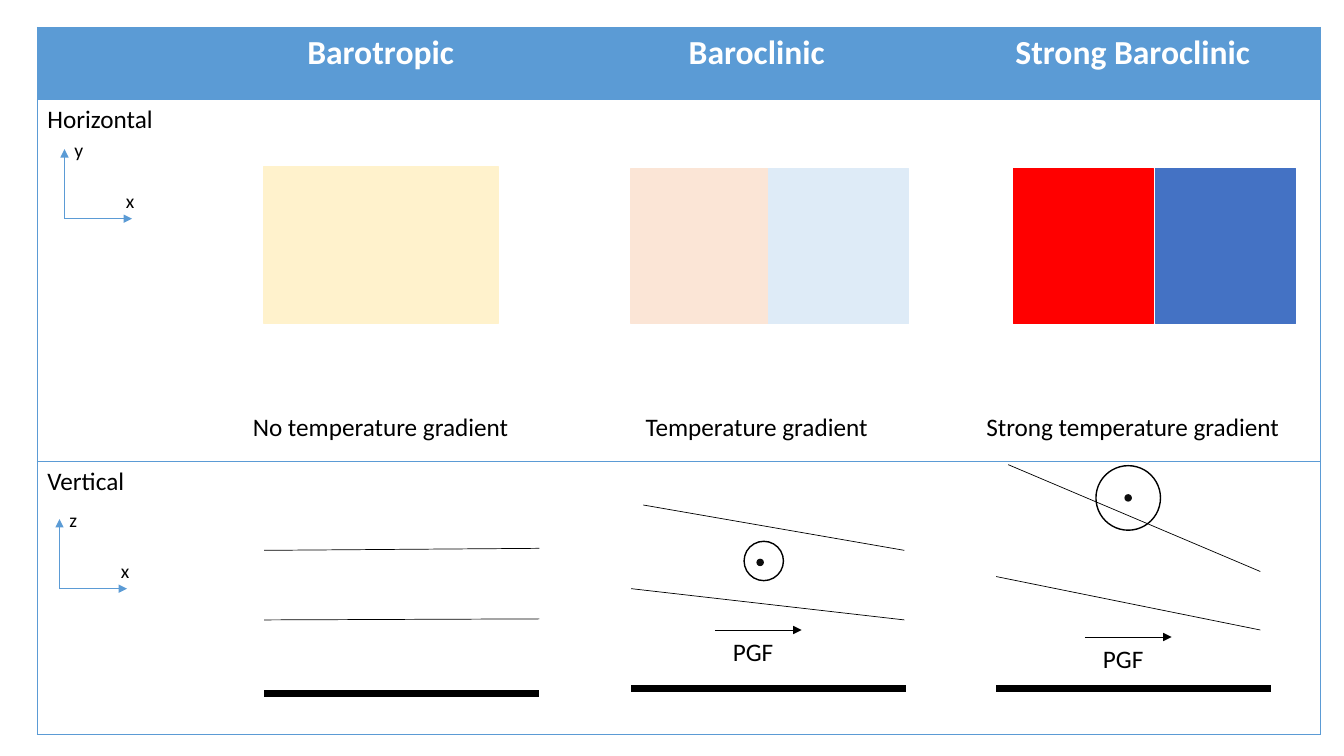
import pptx
import pptx.chart.data
import pptx.dml.color
import pptx.enum.shapes
import pptx.enum.text
import pptx.oxml
import pptx.oxml.ns
import pptx.util

Inches = pptx.util.Inches
Pt = pptx.util.Pt
SHAPES = pptx.enum.shapes.MSO_SHAPE
ANCHOR = pptx.enum.text.MSO_ANCHOR
ALIGN = pptx.enum.text.PP_ALIGN

COLORS = {
    "accent": "5B9BD5", "black": "000000", "white": "FFFFFF", "dot": "0D0D0D",
    "neutral": "FFF2CC", "warm": "FBE5D6", "cool": "DEEBF7",
    "hot": "FF0000", "cold": "4472C4",
}
PLAIN_TABLE = "{2D5ABB26-0587-4C30-8999-92F81FD0307C}"


def rgb(color):
    return pptx.dml.color.RGBColor.from_string(COLORS[color])


def xml(markup):
    return pptx.oxml.parse_xml(markup.replace(" ", f" {pptx.oxml.ns.nsdecls('a')} ", 1))


def write(frame, content, size=18, color="black", bold=False, align=ALIGN.LEFT):
    paragraph = frame.paragraphs[0]
    paragraph.alignment = align
    run = paragraph.add_run()
    run.text = content
    run.font.name = "Calibri"
    run.font.size = Pt(size)
    run.font.bold = bold
    run.font.color.rgb = rgb(color)


class Diagram:
    def __init__(self, slide, thin=0.5):
        self.slide = slide
        self.thin = thin

    def table(self, left, top, widths, heights):
        grid = self.slide.shapes.add_table(
            len(heights), len(widths), Inches(left), Inches(top),
            Inches(sum(widths)), Inches(sum(heights))).table
        properties = grid._tbl.tblPr
        properties.find(pptx.oxml.ns.qn("a:tableStyleId")).text = PLAIN_TABLE
        grid.first_row = grid.horz_banding = False
        for column, width in zip(grid.columns, widths):
            column.width = Inches(width)
        for row, height in zip(grid.rows, heights):
            row.height = Inches(height)
        for r in range(len(heights)):
            for c in range(len(widths)):
                cell = grid.cell(r, c)
                if r == 0:
                    cell.fill.solid()
                    cell.fill.fore_color.rgb = rgb("accent")
                else:
                    cell.fill.background()
                edges = {"L": c == 0, "R": c == len(widths) - 1, "T": True, "B": True}
                self.borders(cell, [side for side, shown in edges.items() if shown])
        return grid

    def borders(self, cell, sides):
        properties = cell._tc.get_or_add_tcPr()
        for position, side in enumerate(sides):
            properties.insert(position, xml(
                f'<a:ln{side} w="{Pt(self.thin)}"><a:solidFill>'
                f'<a:srgbClr val="{COLORS["accent"]}"/></a:solidFill></a:ln{side}>'))

    def line(self, x1, y1, x2, y2, color="black", width=None, arrow=False):
        connector = self.slide.shapes.add_connector(
            pptx.enum.shapes.MSO_CONNECTOR.STRAIGHT,
            Inches(x1), Inches(y1), Inches(x2), Inches(y2))
        connector.line.color.rgb = rgb(color)
        connector.line.width = Pt(width or self.thin)
        if arrow:
            connector.line._get_or_add_ln().append(xml('<a:tailEnd type="triangle"/>'))
        connector._element.spPr.append(xml("<a:effectLst />"))

    def shape(self, kind, left, top, width, height, outline, filled=True):
        figure = self.slide.shapes.add_shape(
            kind, Inches(left), Inches(top), Inches(width), Inches(height))
        figure.shadow.inherit = False
        figure.line.color.rgb = rgb(outline)
        figure.line.width = Pt(1)
        if filled:
            figure.fill.solid()
            figure.fill.fore_color.rgb = rgb(outline)
        else:
            figure.fill.background()

    def label(self, content, left, top, width, height, size):
        box = self.slide.shapes.add_textbox(
            Inches(left), Inches(top), Inches(width), Inches(height))
        box.text_frame.word_wrap = True
        write(box.text_frame, content, size=size)

    def axes(self, x, y, upright):
        self.line(x, y, x, y - 0.69, "accent", arrow=True)
        self.line(x, y, x + 0.67, y, "accent", arrow=True)
        self.label(upright, x, y - 0.85, 0.32, 0.34, 14)
        self.label("x", x + 0.51, y - 0.34, 0.42, 0.34, 14)

    def pressure_force(self, x, y):
        self.line(x, y, x + 0.86, y, arrow=True)
        self.label("PGF", x + 0.08, y + 0.01, 0.65, 0.4, 18)

    def outward_wind(self, left, top, size, dot_left, dot_top):
        self.shape(SHAPES.OVAL, left, top, size, size, "black", filled=False)
        self.shape(SHAPES.OVAL, dot_left, dot_top, 0.06, 0.06, "dot")


def main():
    presentation = pptx.Presentation()
    presentation.slide_width = Inches(13.33)
    presentation.slide_height = Inches(7.5)
    diagram = Diagram(presentation.slides.add_slide(presentation.slide_layouts[6]))

    comparison = diagram.table(0.37, 0.27, [1.54] + [3.73] * 3, [0.72, 3.59, 2.71])
    states = [
        ("Barotropic", "No temperature gradient"),
        ("Baroclinic", "Temperature gradient"),
        ("Strong Baroclinic", "Strong temperature gradient"),
    ]
    for column, (state, gradient) in enumerate(states, start=1):
        write(comparison.cell(0, column).text_frame, state, size=24,
              color="white", bold=True, align=ALIGN.CENTER)
        gradient_cell = comparison.cell(1, column)
        gradient_cell.vertical_anchor = ANCHOR.BOTTOM
        gradient_cell.margin_bottom = Inches(0.18)
        write(gradient_cell.text_frame, gradient, align=ALIGN.CENTER)
    for row, view in enumerate(["Horizontal", "Vertical"], start=1):
        write(comparison.cell(row, 0).text_frame, view)

    diagram.axes(0.64, 2.17, "y")
    diagram.axes(0.59, 5.84, "z")

    diagram.shape(SHAPES.RECTANGLE, 2.62, 1.65, 2.32, 1.56, "neutral")
    for left, air_mass in [(6.26, "warm"), (7.62, "cool"), (10.05, "hot"), (11.46, "cold")]:
        diagram.shape(SHAPES.RECTANGLE, left, 1.67, 1.39, 1.54, air_mass)

    for left, ground in [(2.62, 6.88), (6.26, 6.83), (9.88, 6.83)]:
        diagram.line(left, ground, left + 2.73, ground, width=4.5)

    isobars = [
        (2.62, 6.15, 5.35, 6.14), (2.62, 5.46, 5.35, 5.44),
        (6.26, 5.84, 8.97, 6.15), (6.38, 5.01, 8.97, 5.46),
        (9.88, 5.72, 12.5, 6.25), (10, 4.61, 12.5, 5.67),
    ]
    for isobar in isobars:
        diagram.line(*isobar)

    diagram.outward_wind(7.38, 5.37, 0.39, 7.51, 5.55)
    diagram.outward_wind(10.87, 4.62, 0.64, 11.16, 4.91)
    diagram.pressure_force(7.09, 6.25)
    diagram.pressure_force(10.76, 6.32)

    presentation.save("out.pptx")


if __name__ == "__main__":
    main()
